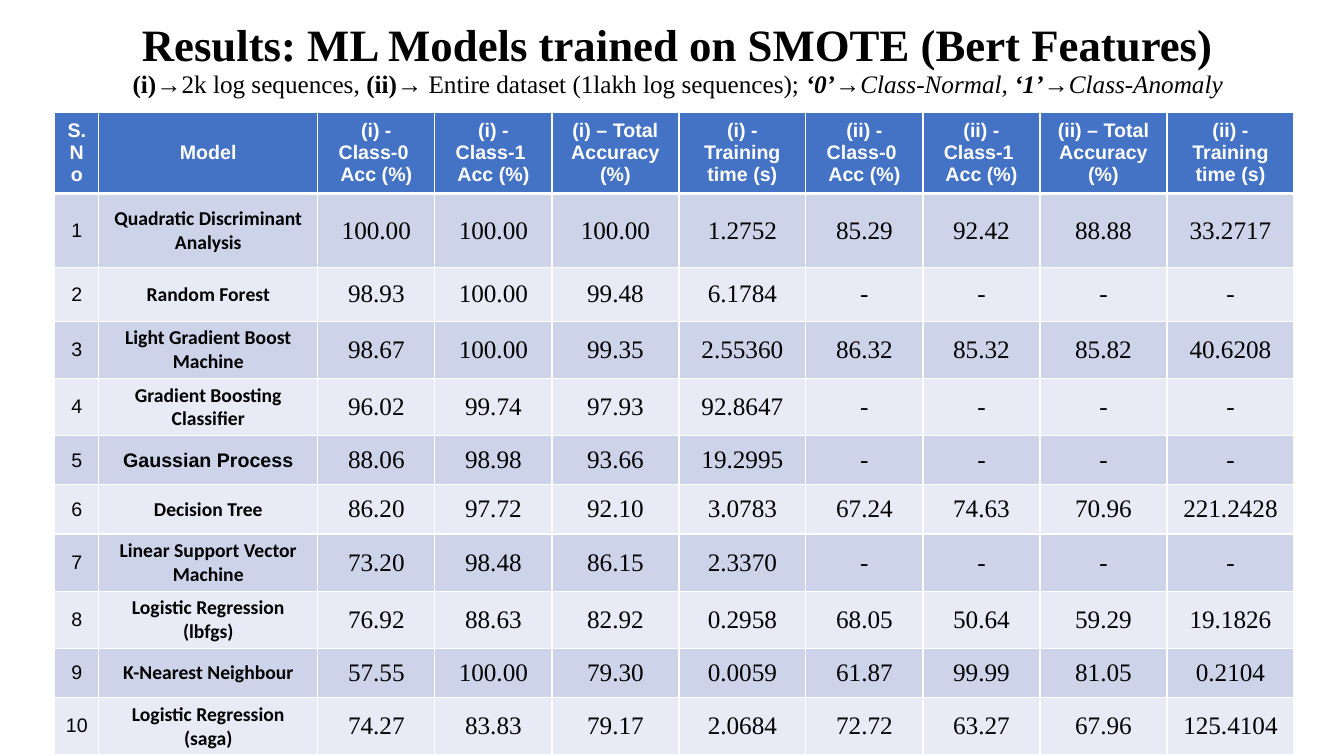
"""Build the slide of ML model results on SMOTE data with Bert features."""
from lxml.etree import SubElement
from pptx import Presentation
from pptx.dml.color import RGBColor
from pptx.enum.text import MSO_ANCHOR, PP_ALIGN
from pptx.oxml.ns import qn
from pptx.util import Cm, Pt

COLORS = {"text": "000000", "white": "FFFFFF", "header": "4472C4",
          "odd": "CDD4EA", "even": "E8EBF5"}
SERIF, SANS, MODEL = "Times New Roman", "Arial", "Calibri"


def style(r, font, size, color, bold, italic=False):
    """Format one run."""
    r.font.name = font
    r.font.size = Pt(size)
    r.font.bold = bold
    r.font.italic = italic
    r.font.color.rgb = RGBColor.from_string(COLORS[color])


def border(cell, sides):
    """Draw white cell borders from a dict of side to width in points."""
    for side, width in sides.items():
        ln = SubElement(cell._tc.get_or_add_tcPr(), qn(f"a:ln{side}"), w=str(Pt(width)))
        fill = SubElement(ln, qn("a:solidFill"))
        SubElement(fill, qn("a:srgbClr"), val=COLORS["white"])


prs = Presentation()
prs.slide_width, prs.slide_height = Cm(33.87), Cm(19.05)
s = prs.slides.add_slide(prs.slide_layouts[6])

sp = s.shapes.add_textbox(Cm(2.64), Cm(0.23), Cm(28.58), Cm(2.62))
tf = sp.text_frame
tf.word_wrap = True
tf.vertical_anchor = MSO_ANCHOR.MIDDLE
p = tf.paragraphs[0]
p.alignment = PP_ALIGN.CENTER
p.line_spacing = 0.9
p._p.get_or_add_pPr().set("marL", str(Cm(0.3)))
r = p.add_run()
r.text = "Results: ML Models trained on SMOTE (Bert Features)"
style(r, SERIF, 32, "text", True)
p.add_line_break()
legend = [
    ("(i)", True, False),
    ("→2k log sequences, ", False, False),
    ("(ii)", True, False),
    ("→ Entire dataset (1lakh log sequences); ", False, False),
    ("‘0’", True, True),
    ("→Class-Normal, ", False, True),
    ("‘1’", True, True),
    ("→Class-Anomaly", False, True),
]
for text, bold, italic in legend:
    r = p.add_run()
    r.text = text
    style(r, SERIF, 18, "text", bold, italic)

header = ["S.No", "Model"]
for part in ("(i)", "(ii)"):
    header += [f"{part} - Class-0 \nAcc (%)", f"{part} - Class-1 \nAcc (%)",
               f"{part} – Total Accuracy (%)", f"{part} - Training time (s)"]
skipped = ["-"] * 4
models = [
    ("Quadratic Discriminant Analysis", "100.00", "100.00", "100.00", "1.2752",
     "85.29", "92.42", "88.88", "33.2717"),
    ("Random Forest", "98.93", "100.00", "99.48", "6.1784", *skipped),
    ("Light Gradient Boost Machine", "98.67", "100.00", "99.35", "2.55360",
     "86.32", "85.32", "85.82", "40.6208"),
    ("Gradient Boosting Classifier", "96.02", "99.74", "97.93", "92.8647", *skipped),
    ("Gaussian Process", "88.06", "98.98", "93.66", "19.2995", *skipped),
    ("Decision Tree", "86.20", "97.72", "92.10", "3.0783",
     "67.24", "74.63", "70.96", "221.2428"),
    ("Linear Support Vector Machine", "73.20", "98.48", "86.15", "2.3370", *skipped),
    ("Logistic Regression (lbfgs)", "76.92", "88.63", "82.92", "0.2958",
     "68.05", "50.64", "59.29", "19.1826"),
    ("K-Nearest Neighbour", "57.55", "100.00", "79.30", "0.0059",
     "61.87", "99.99", "81.05", "0.2104"),
    ("Logistic Regression (saga)", "74.27", "83.83", "79.17", "2.0684",
     "72.72", "63.27", "67.96", "125.4104"),
]
rows = [header] + [[str(n), *model] for n, model in enumerate(models, 1)]
widths = [1.11, 5.52] + [2.95, 2.95, 3.2, 3.2] * 2
heights = [1.37, 1.87, 1.35, 1.37, 1.37, 1.24, 1.24, 1.37, 1.37, 1.24, 1.37]

table = s.shapes.add_table(len(rows), len(header), Cm(1.38), Cm(2.84),
                           Cm(sum(widths)), Cm(sum(heights))).table
for column, width in zip(table.columns, widths):
    column.width = Cm(width)
for row, height in zip(table.rows, heights):
    row.height = Cm(height)

for i, row in enumerate(rows):
    band = "header" if i == 0 else "odd" if i % 2 else "even"
    for j, text in enumerate(row):
        cell = table.cell(i, j)
        border(cell, {"L": 1, "R": 1, "T": 3 if i == 1 else 1, "B": 3 if i == 0 else 1})
        cell.fill.solid()
        cell.fill.fore_color.rgb = RGBColor.from_string(COLORS[band])
        cell.vertical_anchor = MSO_ANCHOR.MIDDLE
        cell.text_frame.text = text
        if i == 0:
            look = (SANS, 14, "white", True)
        elif j == 0:
            look = (SANS, 14, "text", False)
        elif j == 1:
            look = (SANS if text == "Gaussian Process" else MODEL, 14, "text", True)
        else:
            look = (SERIF, 18, "text", False)
        for p in cell.text_frame.paragraphs:
            p.alignment = PP_ALIGN.CENTER
            style(p.runs[0], *look)

prs.save("out.pptx")
